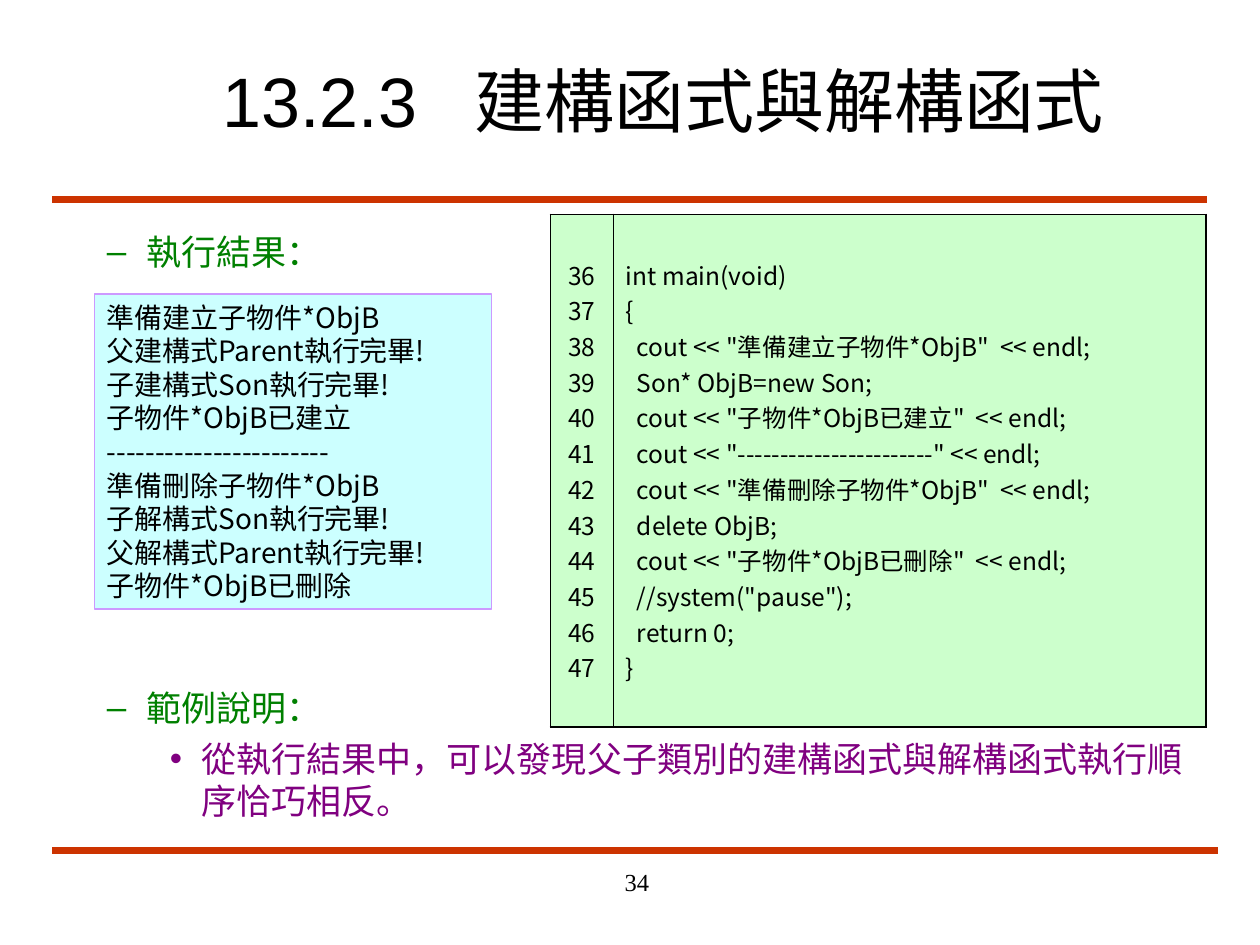
from lxml.etree import SubElement
from pptx import Presentation
from pptx.dml.color import RGBColor
from pptx.enum.shapes import MSO_CONNECTOR, MSO_SHAPE
from pptx.enum.text import MSO_ANCHOR, PP_ALIGN
from pptx.oxml.ns import qn
from pptx.util import Pt

COLORS = {"rule": "CC3300", "text": "000000", "heading": "008000", "detail": "800080",
          "code": "CCFFCC", "output": "CCFFFF", "output_edge": "CC99FF"}
CODE_FONT = "Noto Sans CJK TC"

TITLE = "13.2.3\t建構函式與解構函式"
PAGE = "34"
BODY = [
    ("執行結果：", dict(color="heading", bullet="–", left=58.5, indent=-22.5)),
    ("範例說明：", dict(color="heading", bullet="–", left=58.5, indent=-22.5, before=237)),
    ("從執行結果中，可以發現父子類別的建構函式與解構函式執行順序恰巧相反。",
     dict(color="detail", bullet="•", left=90, indent=-18, before=5)),
]
OUTPUT = [
    "準備建立子物件*ObjB",
    "父建構式Parent執行完畢!",
    "子建構式Son執行完畢!",
    "子物件*ObjB已建立",
    "-----------------------",
    "準備刪除子物件*ObjB",
    "子解構式Son執行完畢!",
    "父解構式Parent執行完畢!",
    "子物件*ObjB已刪除",
]
FIRST_LINE = 36
CODE = [
    'int main(void)',
    '{',
    '  cout << "準備建立子物件*ObjB"  << endl;',
    '  Son* ObjB=new Son;',
    '  cout << "子物件*ObjB已建立"  << endl;',
    '  cout << "-----------------------" << endl;',
    '  cout << "準備刪除子物件*ObjB"  << endl;',
    '  delete ObjB;',
    '  cout << "子物件*ObjB已刪除"  << endl;',
    '  //system("pause");',
    '  return 0;',
    '}',
]
RULES = [(30, 114, 690), (30, 486, 696)]


def rgb(name):
    return RGBColor.from_string(COLORS[name])


def box(x, y, w, h):
    return Pt(x), Pt(y), Pt(w), Pt(h)


def write(p, text, size=20, font="Arial", color="text", align=PP_ALIGN.LEFT,
          line=None, before=None, bullet=None, left=0, indent=0, tab=None):
    p.alignment = align
    if line:
        p.line_spacing = Pt(line)
    if before:
        p.space_before = Pt(before)
    pPr = p._p.get_or_add_pPr()
    if bullet:
        pPr.set("marL", str(Pt(left)))
        pPr.set("indent", str(Pt(indent)))
        clr = SubElement(pPr, qn("a:buClr"))
        SubElement(clr, qn("a:srgbClr"), val=COLORS[color])
        SubElement(pPr, qn("a:buFont"), typeface=font)
        SubElement(pPr, qn("a:buChar"), char=bullet)
    if tab:
        tabs = SubElement(pPr, qn("a:tabLst"))
        SubElement(tabs, qn("a:tab"), pos=str(Pt(tab)), algn="l")
    r = p.add_run()
    r.text = text
    r.font.size = Pt(size)
    r.font.name = font
    r.font.color.rgb = rgb(color)
    SubElement(r._r.get_or_add_rPr(), qn("a:ea"), typeface=CODE_FONT)


def write_lines(tf, lines, **fmt):
    for i, text in enumerate(lines):
        write(tf.add_paragraph() if i else tf.paragraphs[0], text, **fmt)


def set_borders(cell, **widths):
    tcPr = cell._tc.get_or_add_tcPr()
    for i, side in enumerate("LRTB"):
        ln = tcPr.makeelement(qn(f"a:ln{side}"), {"w": str(Pt(widths[side]))})
        fill = SubElement(ln, qn("a:solidFill"))
        SubElement(fill, qn("a:srgbClr"), val=COLORS["text"])
        tcPr.insert(i, ln)


def add_text_box(shapes, place):
    tf = shapes.add_textbox(*place).text_frame
    tf.word_wrap = True
    return tf


def main():
    """Build the slide on constructors and destructors."""
    prs = Presentation()
    prs.slide_width, prs.slide_height = Pt(720), Pt(540)
    s = prs.slides.add_slide(prs.slide_layouts[5])

    for x1, y, x2 in RULES:
        rule = s.shapes.add_connector(MSO_CONNECTOR.STRAIGHT, Pt(x1), Pt(y), Pt(x2), Pt(y))
        rule.line.color.rgb = rgb("rule")
        rule.line.width = Pt(4.5)
        SubElement(rule._element.spPr, qn("a:effectLst"))

    title = s.shapes.title
    title.left, title.top, title.width, title.height = box(120, 24, 546, 66)
    title.text_frame.vertical_anchor = MSO_ANCHOR.MIDDLE
    write(title.text_frame.paragraphs[0], TITLE, size=40, tab=144)

    write(add_text_box(s.shapes, box(228, 492, 150, 36)).paragraphs[0], PAGE,
          size=14, font="Times New Roman", align=PP_ALIGN.RIGHT)

    body = add_text_box(s.shapes, box(18, 128, 682, 346))
    for i, (text, fmt) in enumerate(BODY):
        write(body.add_paragraph() if i else body.paragraphs[0], text, line=24, **fmt)

    table = s.shapes.add_table(1, 2, *box(314.5, 122.5, 374.5, 293)).table
    numbers = [str(FIRST_LINE + i) for i in range(len(CODE))]
    columns = [(36, numbers, PP_ALIGN.CENTER, 1.08, 0.45),
               (338.5, CODE, PP_ALIGN.LEFT, 0.45, 1.08)]
    for i, (width, lines, align, left, right) in enumerate(columns):
        table.columns[i].width = Pt(width)
        cell = table.cell(0, i)
        cell.vertical_anchor = MSO_ANCHOR.MIDDLE
        cell.fill.solid()
        cell.fill.fore_color.rgb = rgb("code")
        set_borders(cell, L=left, R=right, T=1.08, B=1.08)
        write_lines(cell.text_frame, lines, size=14, font=CODE_FONT, align=align)

    sp = s.shapes.add_shape(MSO_SHAPE.RECTANGLE, *box(54, 168, 227, 180))
    sp.shadow.inherit = False
    sp.fill.solid()
    sp.fill.fore_color.rgb = rgb("output")
    sp.line.color.rgb = rgb("output_edge")
    sp.line.width = Pt(0.75)
    sp.text_frame.word_wrap = True
    sp.text_frame.vertical_anchor = MSO_ANCHOR.TOP
    write_lines(sp.text_frame, OUTPUT, size=16, font=CODE_FONT, line=19.2)

    prs.save("out.pptx")


if __name__ == "__main__":
    main()
